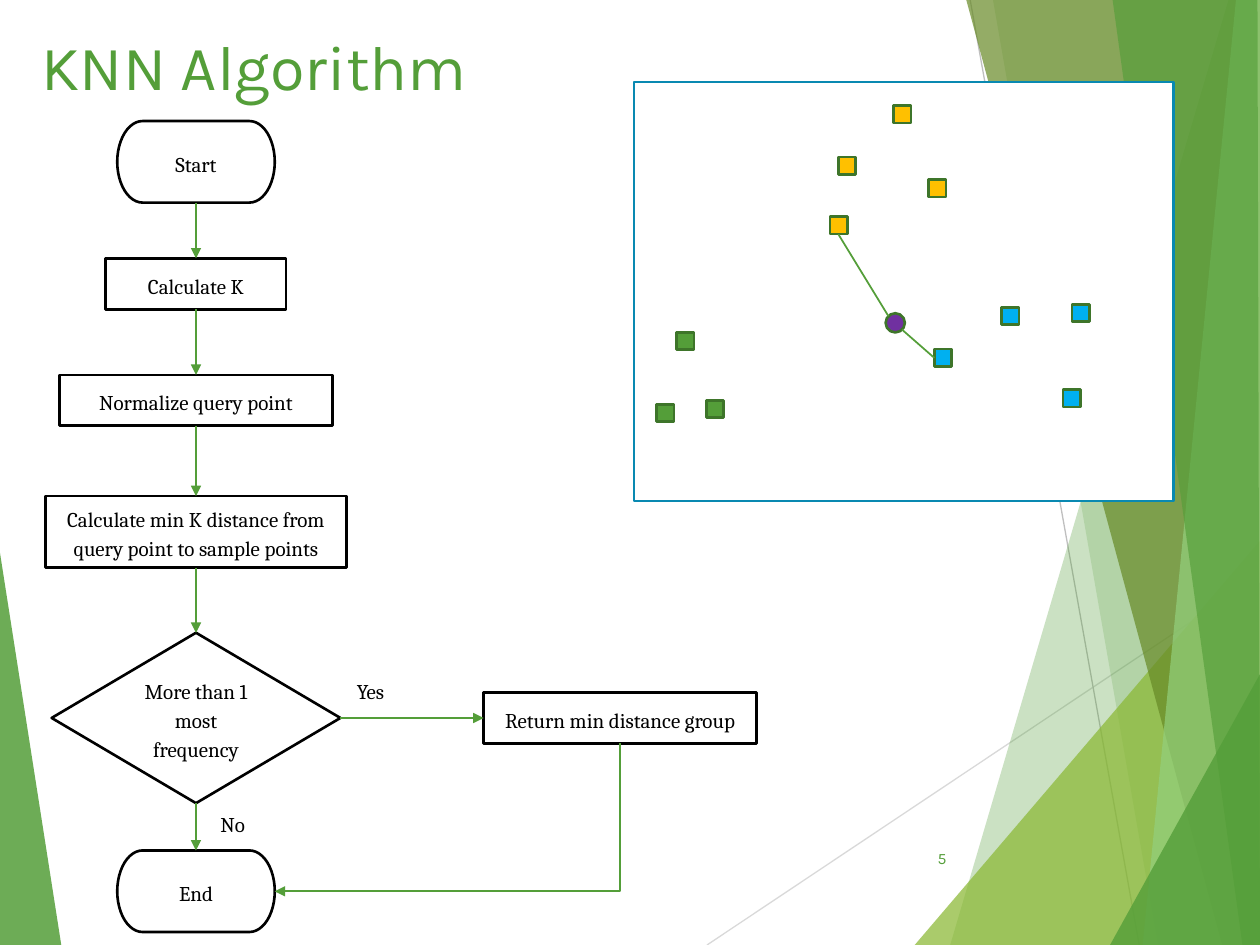
from itertools import pairwise

from lxml.etree import SubElement
from pptx import Presentation
from pptx.dml.color import RGBColor
from pptx.enum.shapes import MSO_CONNECTOR, MSO_SHAPE
from pptx.enum.text import MSO_ANCHOR, MSO_AUTO_SIZE, PP_ALIGN
from pptx.oxml.ns import qn
from pptx.util import Pt

COLORS = {
    "white": "FFFFFF", "black": "000000", "green": "549E39", "lime": "8AB833",
    "olive": "678A26", "mint": "93D07D", "dark_green": "3E752A", "teal": "0989B1",
    "blue": "00B0F0", "amber": "FFC000", "purple": "7030A0",
    "light_gray": "D9D9D9", "gray": "BFBFBF",
}
WIDTH, HEIGHT = 720, 540
TOP, LEFT, BOTTOM, RIGHT = range(4)  # connection sites of a flowchart box


def rgb(name):
    return RGBColor.from_string(COLORS[name])


def write_text(frame, text, size=12, font="Cambria", color="black", align=PP_ALIGN.LEFT,
               anchor=MSO_ANCHOR.TOP, wrap=True, spacing=None, after=None):
    frame.word_wrap = wrap
    frame.auto_size = MSO_AUTO_SIZE.NONE
    frame.vertical_anchor = anchor
    para = frame.paragraphs[0]
    para.alignment = align
    if spacing:
        para.line_spacing = spacing
    if after:
        para.space_after = Pt(after)
    span = para.add_run()
    span.text = text
    span.font.size = Pt(size)
    span.font.name = font
    span.font.color.rgb = rgb(color)


class SlideBuilder:
    heading_font = "Karla"
    body = {"spacing": 1.15, "after": 10}
    outline = 1.5

    def __init__(self, page):
        self.page = page
        self.shapes = page.shapes

    def title(self, text, left, top, width, height):
        box = self.shapes.title
        box.left, box.top, box.width, box.height = map(Pt, (left, top, width, height))
        write_text(box.text_frame, text, size=36, font=self.heading_font, color="green")

    def text(self, text, left, top, width, height, **style):
        box = self.shapes.add_textbox(*map(Pt, (left, top, width, height)))
        write_text(box.text_frame, text, **style)

    def facet(self, points, color, opacity):
        """Draw a translucent polygon without an outline."""
        corners = [(Pt(x), Pt(y)) for x, y in points]
        builder = self.shapes.build_freeform(*corners[0])
        builder.add_line_segments(corners[1:], close=True)
        shape = builder.convert_to_shape()
        shape.shadow.inherit = False
        shape.fill.solid()
        shape.fill.fore_color.rgb = rgb(color)
        shape.line.fill.background()
        color_node = shape.fill._xPr.find(qn("a:solidFill"))[0]
        SubElement(color_node, qn("a:alpha"), val=str(opacity * 1000))

    def shape(self, kind, left, top, width, height, fill="white", line="black"):
        shape = self.shapes.add_shape(kind, *map(Pt, (left, top, width, height)))
        shape.shadow.inherit = False
        shape.fill.solid()
        shape.fill.fore_color.rgb = rgb(fill)
        shape.line.color.rgb = rgb(line)
        shape.line.width = Pt(self.outline)
        return shape

    def step(self, kind, text, center, top, width, height):
        box = self.shape(kind, center - width / 2, top, width, height)
        write_text(box.text_frame, text, align=PP_ALIGN.CENTER,
                   anchor=MSO_ANCHOR.MIDDLE, **self.body)
        return box

    def line(self, x1, y1, x2, y2, color="green", width=1, arrow=False,
             kind=MSO_CONNECTOR.STRAIGHT):
        line = self.shapes.add_connector(kind, *map(Pt, (x1, y1, x2, y2)))
        line.line.color.rgb = rgb(color)
        line.line.width = Pt(width)
        if arrow:
            SubElement(line.line._get_or_add_ln(), qn("a:tailEnd"), type="triangle")
        SubElement(line._element.spPr, qn("a:effectLst"))
        return line

    def link(self, start, start_site, end, end_site):
        arrow = self.line(0, 0, 1, 1, arrow=True)
        arrow.begin_connect(start, start_site)
        arrow.end_connect(end, end_site)

    def corner_arrow(self, x1, y1, x2, y2):
        """Go down from the first point, then left to the second."""
        across, down = x1 - x2, y2 - y1
        middle_x, middle_y = (x1 + x2) / 2, (y1 + y2) / 2
        arrow = self.line(middle_x - down / 2, middle_y - across / 2,
                          middle_x + down / 2, middle_y + across / 2,
                          arrow=True, kind=MSO_CONNECTOR.ELBOW)
        properties = arrow._element.spPr
        properties.find(qn("a:xfrm")).set("rot", str(90 * 60000))
        properties.find(qn("a:prstGeom")).set("prst", "bentConnector2")


def draw_background(slide):
    bottom_right, top_right = (WIDTH, HEIGHT), (WIDTH, 0)
    slide.facet([(0, 316), (35, HEIGHT), (0, HEIGHT)], "green", 85)
    slide.line(404, HEIGHT, WIDTH, 329, color="light_gray", width=0.75)
    slide.line(554.4, 0, 651, HEIGHT, color="gray", width=0.75)
    facets = [
        ([(702, 0), (543, HEIGHT), bottom_right, top_right], "green", 30),
        ([(567.4, 0), (661.7, HEIGHT), bottom_right, top_right], "green", 20),
        ([(522.7, HEIGHT), (WIDTH, 309), bottom_right], "lime", 72),
        ([(552.2, 0), (698.4, HEIGHT), bottom_right, top_right], "olive", 70),
        ([(706.3, 0), (653, HEIGHT), bottom_right, top_right], "mint", 70),
        ([(635.8, 0), (710, HEIGHT), bottom_right, (718.6, 0)], "green", 65),
        ([(634.3, HEIGHT), (WIDTH, 385.2), bottom_right], "green", 80),
    ]
    for facet in facets:
        slide.facet(*facet)


def draw_flowchart(slide):
    process = MSO_SHAPE.RECTANGLE
    terminator = MSO_SHAPE.FLOWCHART_TERMINATOR
    column = 112
    steps = [
        (terminator, "Start", 69.2, 90, 46.6),
        (process, "Calculate K", 147.7, 103, 29),
        (process, "Normalize query point", 214.2, 156, 29),
        (process, "Calculate min K distance from query point to sample points",
         283.5, 172, 41),
        (MSO_SHAPE.FLOWCHART_DECISION, "More than 1 most frequency", 361.6, 165, 97.4),
        (terminator, "End", 486, 90, 46.6),
    ]
    boxes = [slide.step(kind, text, column, *place) for kind, text, *place in steps]
    for upper, lower in pairwise(boxes):
        slide.link(upper, BOTTOM, lower, TOP)

    decision, end = boxes[-2:]
    result = slide.step(process, "Return min distance group", 354.4, 395.8, 156, 29)
    slide.link(decision, RIGHT, result, LEFT)
    slide.corner_arrow(354.4, 424.8, (end.left + end.width) / Pt(1), 509.3)
    slide.text("No", 118.8, 457.9, 35, 35, wrap=False, **slide.body)
    slide.text("Yes", 196.8, 382.3, 40, 35, wrap=False, **slide.body)


def draw_scatter(slide):
    slide.shape(MSO_SHAPE.RECTANGLE, 362.2, 46.8, 308.3, 239.5, line="teal")
    groups = {
        "green": [(375.1, 231), (403.6, 228.7), (386.6, 189.9)],
        "blue": [(533.9, 199.5), (572.3, 175.6), (612.6, 173.9), (607.5, 222.5)],
        "amber": [(510.5, 60.4), (479, 89.7), (530.6, 102.7), (474.2, 123.8)],
    }
    for color, corners in groups.items():
        for left, top in corners:
            slide.shape(MSO_SHAPE.RECTANGLE, left, top, 10, 10, color, "dark_green")
    slide.shape(MSO_SHAPE.OVAL, 506.1, 179, 11, 11, "purple", "dark_green")
    slide.line(507.7, 180.7, 479.1, 133.9)
    slide.line(515.5, 188.4, 533.9, 204.5)


def main():
    deck = Presentation()
    deck.slide_width, deck.slide_height = Pt(WIDTH), Pt(HEIGHT)
    slide = SlideBuilder(deck.slides.add_slide(deck.slide_layouts[5]))
    draw_background(slide)
    slide.text("5", 507.6, 476, 40.3, 28.8, size=9, font=slide.heading_font,
               color="green", align=PP_ALIGN.RIGHT, anchor=MSO_ANCHOR.MIDDLE)
    slide.title("KNN Algorithm", 16.6, 12.2, 500, 54.7)
    draw_flowchart(slide)
    draw_scatter(slide)
    deck.save("out.pptx")


if __name__ == "__main__":
    main()
